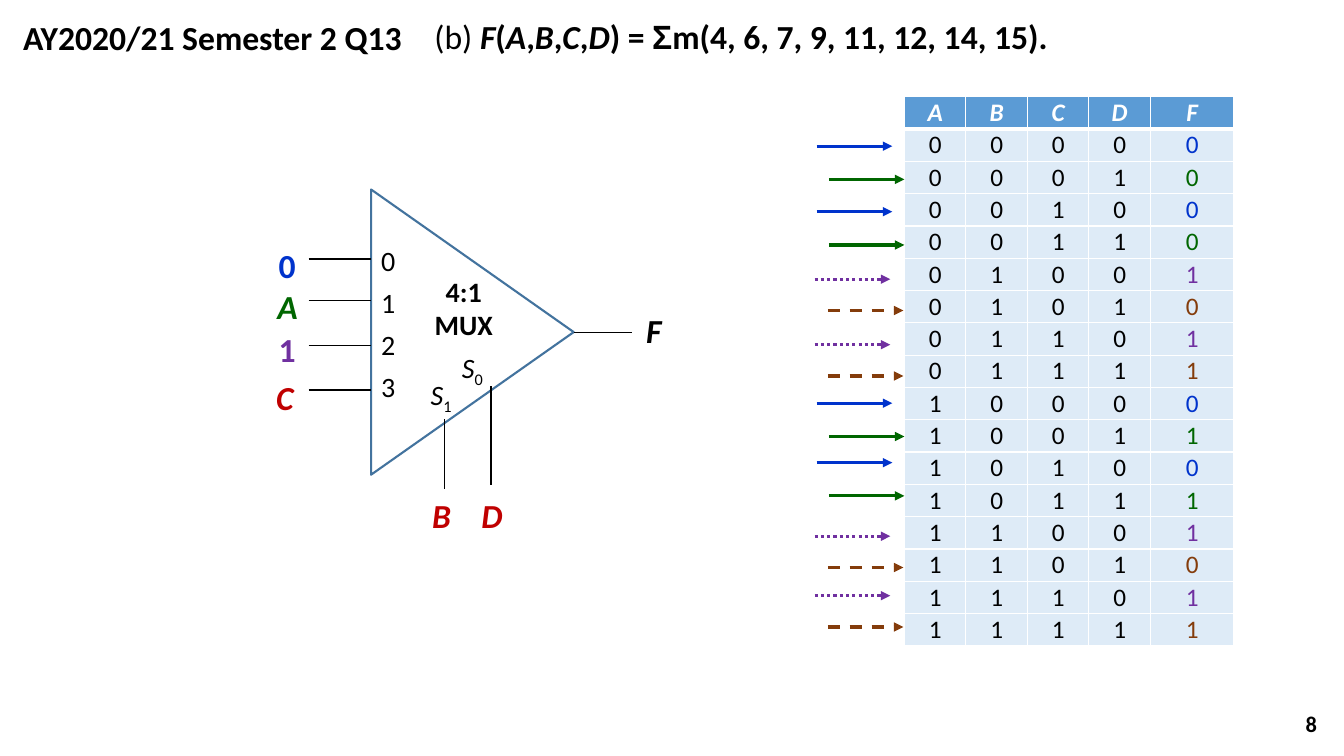
from itertools import product

from lxml import etree
from pptx import Presentation
from pptx import util as u
from pptx.dml.color import RGBColor
from pptx.enum import dml, shapes, text
from pptx.oxml.ns import qn

PX = 9144  # 100 px to the inch
BLACK, WHITE, RED = "000000", "FFFFFF", "C00000"
BLUE, GREEN, PURPLE, BROWN = "0033CC", "006600", "7030A0", "843C0B"
MUX_EDGE, HEADER, BODY = "43739E", "5B9BD5", "DEEBF7"
LEFT, CENTER, RIGHT = text.PP_ALIGN.LEFT, text.PP_ALIGN.CENTER, text.PP_ALIGN.RIGHT
MINTERMS = {4, 6, 7, 9, 11, 12, 14, 15}
SELECT_COLOURS = (BLUE, GREEN, PURPLE, BROWN)  # indexed by 2B + D


def px(*lengths):
    return [u.Emu(length * PX) for length in lengths]


def colour(code):
    return RGBColor.from_string(code)


def write(para, words, size=24, color=BLACK, bold=False, italic=False,
          font="Calibri", baseline=0):
    span = para.add_run()
    span.text = words
    span.font.name, span.font.size = font, u.Pt(size)
    span.font.bold, span.font.italic = bold, italic
    span.font.color.rgb = colour(color)
    if baseline:
        span.font._element.set("baseline", str(baseline * 1000))


class Slide:
    """Holds the page, its text style and the shapes being added to."""

    def __init__(self, deck):
        self.page = deck.slides.add_slide(deck.slide_layouts[6])
        self.shapes = self.page.shapes

    def start_group(self):
        self.shapes = self.page.shapes.add_group_shape().shapes

    def end_group(self):
        self.shapes = self.page.shapes

    def label(self, at, *lines, align=LEFT, after=0, middle=False, hang=0, **style):
        """Each line is a string or a list of (words, format) pairs."""
        box = self.shapes.add_textbox(*px(*at))
        frame = box.text_frame
        frame.word_wrap = True
        if middle:
            frame.vertical_anchor = text.MSO_ANCHOR.MIDDLE
        for index, line in enumerate(lines):
            para = frame.add_paragraph() if index else frame.paragraphs[0]
            para.alignment, para.space_after = align, u.Pt(after)
            if hang:
                margin = para._p.get_or_add_pPr()
                margin.set("marL", str(hang * PX))
                margin.set("indent", str(-hang * PX))
            for words, extra in [(line, {})] if isinstance(line, str) else line:
                write(para, words, **{**style, **extra})

    def line(self, x1, y1, x2, y2, color=BLACK, width=1, dash=None, arrow=False):
        wire = self.shapes.add_connector(shapes.MSO_CONNECTOR.STRAIGHT, *px(x1, y1, x2, y2))
        wire.line.color.rgb = colour(color)
        wire.line.width = u.Pt(width)
        if dash:
            wire.line.dash_style = dash
        properties = wire._element.spPr
        if arrow:
            etree.SubElement(properties.find(qn("a:ln")), qn("a:tailEnd"), type="triangle")
        etree.SubElement(properties, qn("a:effectLst"))

    def triangle(self, at, color, width, rotation):
        shape = self.shapes.add_shape(shapes.MSO_SHAPE.ISOSCELES_TRIANGLE, *px(*at))
        shape.shadow.inherit = False
        shape.fill.background()
        shape.line.color.rgb = colour(color)
        shape.line.width = u.Pt(width)
        shape.rotation = rotation

    def table(self, at, widths, rows):
        """Each row is a list of (words, fill, format) triples."""
        grid = self.shapes.add_table(len(rows), len(widths), *px(*at)).table
        for column, width in zip(grid.columns, px(*widths)):
            column.width = width
        for r, row in enumerate(rows):
            for c, (words, fill, style) in enumerate(row):
                cell = grid.cell(r, c)
                self.borders(cell, top=3 if r == 1 else 1, bottom=3 if r == 0 else 1)
                cell.fill.solid()
                cell.fill.fore_color.rgb = colour(fill)
                cell.margin_left, cell.margin_right = px(7, 7)
                cell.margin_top = cell.margin_bottom = 0
                cell.vertical_anchor = text.MSO_ANCHOR.MIDDLE
                para = cell.text_frame.paragraphs[0]
                para.alignment = CENTER
                write(para, words, size=18, **style)

    def borders(self, cell, top, bottom):
        properties = cell._tc.get_or_add_tcPr()
        for side, width in (("L", 1), ("R", 1), ("T", top), ("B", bottom)):
            edge = etree.SubElement(properties, qn(f"a:ln{side}"), w=str(u.Pt(width)))
            fill = etree.SubElement(edge, qn("a:solidFill"))
            etree.SubElement(fill, qn("a:srgbClr"), val=WHITE)


def truth_rows():
    header = [(name, HEADER, dict(color=WHITE, bold=True, italic=True)) for name in "ABCDF"]
    rows = [header]
    for number, bits in enumerate(product((0, 1), repeat=4)):
        select = SELECT_COLOURS[2 * bits[1] + bits[3]]
        row = [(str(bit), BODY, {}) for bit in bits]
        rows.append(row + [(str(int(number in MINTERMS)), BODY, dict(color=select))])
    return rows


def main():
    deck = Presentation()
    deck.slide_width, deck.slide_height = px(1333, 750)
    slide = Slide(deck)

    # Page number and heading
    slide.label((1016, 698, 300, 40), "8", align=RIGHT, middle=True, size=16, bold=True)
    slide.label((13, 12, 408, 50), "AY2020/21 Semester 2 Q13", bold=True)
    function = [(sign, dict(italic=sign.isalpha())) for sign in "F(A,B,C,D)"]
    slide.label((421, 11, 862, 50),
                [("(b) ", dict(bold=False)), *function, (" = ", {}),
                 ("Σ", dict(font="Arial")), ("m(4, 6, 7, 9, 11, 12, 14, 15).", {})],
                hang=48, bold=True)

    # Truth table
    slide.table((897, 96, 328, 545), (61, 61, 61, 61, 83), truth_rows())

    # Multiplexer with its wires
    slide.start_group()
    slide.triangle((327, 229, 283, 201), MUX_EDGE, 1.5, rotation=90)
    slide.label((402, 267, 116, 107), "4:1", "MUX", align=CENTER, size=20, bold=True)
    slide.label((348, 237, 54, 259), *"0123", align=RIGHT, after=6, size=20)
    for x, y, digit in ((433, 343, "0"), (402, 370, "1")):
        slide.label((x, y, 71, 87),
                    [("S", dict(italic=True)), (digit, dict(baseline=-25))],
                    align=CENTER, after=3, size=20)
    slide.line(569, 330, 627, 330)
    slide.label((613, 303, 71, 63), "F", align=CENTER, after=3, bold=True, italic=True)
    for y in (257, 298, 343, 387):
        slide.line(306, y, 368, y)
    slide.line(441, 416, 441, 485)
    slide.line(487, 383, 487, 481)
    slide.end_group()

    # Select and data inputs
    for x, name in ((413, "B"), (463, "D")):
        slide.label((x, 486, 50, 63), name, align=CENTER, after=3,
                    color=RED, bold=True, italic=True)
    for x, y, name, color in ((255, 238, "0", BLUE), (257, 279, "A", GREEN),
                              (255, 321, "1", PURPLE), (253, 369, "C", RED)):
        slide.label((x, y, 48, 50), name, align=RIGHT, after=6,
                    color=color, bold=True, italic=name.isalpha())

    # Arrows to the table rows, one group for each select value
    dotted, dashed = dml.MSO_LINE.ROUND_DOT, dml.MSO_LINE.DASH
    for color, x, drop, dash in ((BLUE, 810, 0, None), (GREEN, 822, 33, None),
                                 (PURPLE, 808, 132, dotted), (BROWN, 821, 163, dashed)):
        slide.start_group()
        for y in (145, 210, 400, 459):
            slide.line(x, y + drop, x + 75, y + drop, color, 2.25, dash, arrow=True)
        slide.end_group()

    deck.save("out.pptx")


if __name__ == "__main__":
    main()
